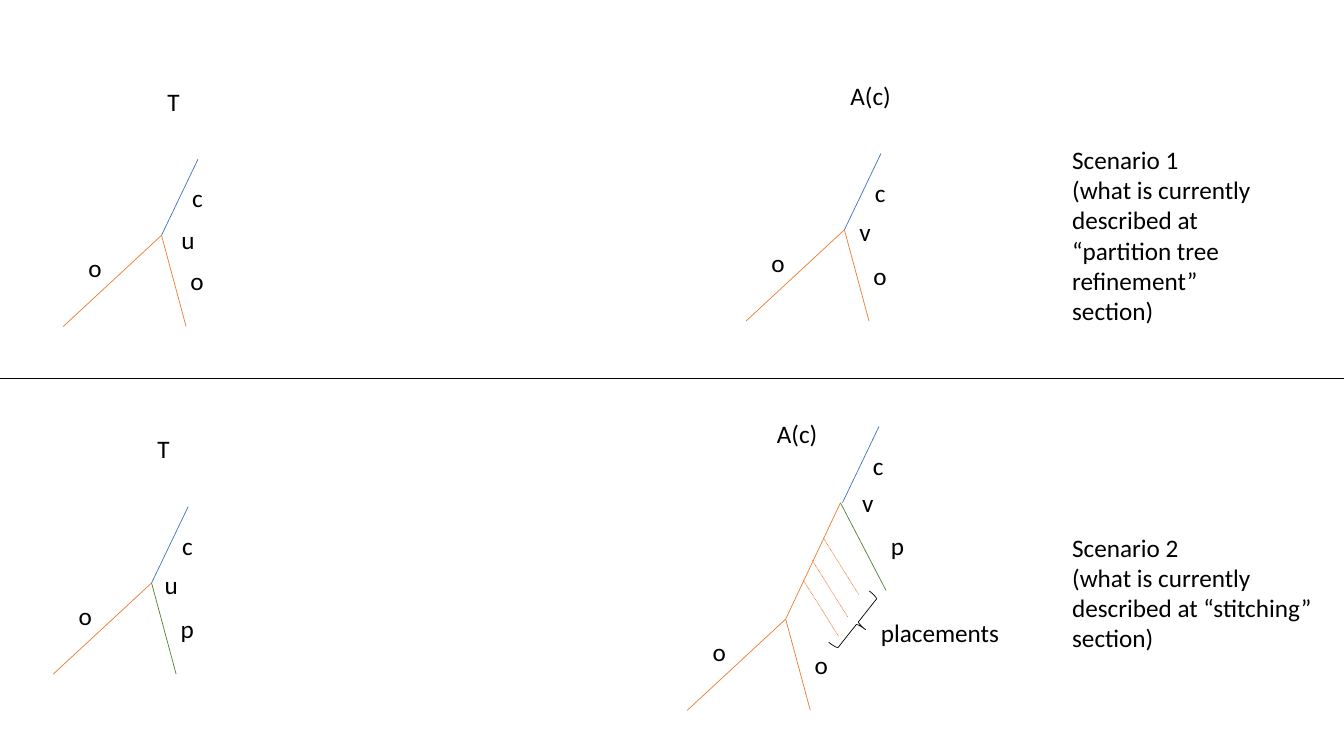
from pptx import Presentation, util as u
from pptx.dml.color import RGBColor
from pptx.enum import dml, shapes, text
from pptx.oxml.ns import qn
from lxml import etree

COLOURS = {"inner": "ED7D31", "upper": "4472C4", "placed": "548235", "ink": "000000"}
LEFT, RIGHT, UP = (-2.48, 2.3), (0.62, 2.3), (0.92, -1.92)


def shift(point, offset):
    return point[0] + offset[0], point[1] + offset[1]


def write(frame, content, size=18, font="Calibri", colour="ink"):
    for index, line in enumerate(content.split("\n")):
        paragraph = frame.paragraphs[0] if index == 0 else frame.add_paragraph()
        paragraph.text = line
        for run in paragraph.runs:
            run.font.size = u.Pt(size)
            run.font.name = font
            run.font.color.rgb = RGBColor.from_string(COLOURS[colour])


class TreeSlide:
    def __init__(self, slide, weight=0.5):
        self.slide = slide
        self.weight = weight

    def stroke(self, line, colour):
        line.color.rgb = RGBColor.from_string(COLOURS[colour])
        line.width = u.Pt(self.weight)

    def edge(self, start, end, colour, dotted=False):
        branch = self.slide.shapes.add_connector(
            shapes.MSO_CONNECTOR.STRAIGHT, *map(u.Cm, (*start, *end)))
        self.stroke(branch.line, colour)
        if dotted:
            branch.line.dash_style = dml.MSO_LINE.ROUND_DOT
        etree.SubElement(branch._element.spPr, qn("a:effectLst"))

    def label(self, content, place, width=0.86, height=1.02, wrap=False):
        box = self.slide.shapes.add_textbox(*map(u.Cm, (*place, width, height)))
        box.text_frame.word_wrap = wrap
        box.text_frame.auto_size = text.MSO_AUTO_SIZE.SHAPE_TO_FIT_TEXT
        write(box.text_frame, content)

    def brace(self, place, width, height, angle):
        bracket = self.slide.shapes.add_shape(
            shapes.MSO_SHAPE.RIGHT_BRACE, *map(u.Cm, (*place, width, height)))
        bracket.rotation = angle
        bracket.shadow.inherit = False
        bracket.fill.background()
        self.stroke(bracket.line, "ink")

    def fork(self, node, right="o"):
        self.edge(shift(node, LEFT), node, "inner")
        self.edge(shift(node, RIGHT), node, "placed" if right == "p" else "inner")
        self.label("o", shift(node, (-2.09, 0.31)))
        self.label(right, shift(node, (0.48, 0.64)))

    def stem(self, node, name, name_offset):
        self.edge(node, shift(node, UP), "upper")
        self.label("c", shift(node, (0.52, -1.45)), width=0.79)
        self.label(name, shift(node, name_offset), width=2.97, wrap=True)


def main():
    deck = Presentation()
    deck.slide_width, deck.slide_height = u.Cm(33.87), u.Cm(19.05)
    page = TreeSlide(deck.slides.add_slide(deck.slide_layouts[6]))

    simple_trees = [
        ("T", 0.81, (4.07, 5.93), "o", "u", (0.25, -0.41)),
        ("A(c)", 1.55, (21.28, 5.79), "o", "v", (0.13, -0.46)),
        ("T", 0.81, (3.82, 14.69), "p", "u", (0.08, -0.48)),
    ]
    for title, width, node, right, name, name_offset in simple_trees:
        page.fork(node, right)
        page.stem(node, name, name_offset)
        page.label(title, shift(node, (-0.1, -3.89)), width=width)

    page.edge((0, 9.53), (33.87, 9.53), "ink")

    lower, upper = (19.8, 15.6), (21.18, 12.67)
    page.fork(lower)
    page.edge(lower, upper, "inner")
    page.stem(shift(upper, (0.05, 0)), "v", (0.25, -0.51))
    page.edge((22.33, 14.88), upper, "placed")
    page.label("p", (22.2, 13.23), wrap=True)
    page.label("A(c)", (19.33, 10.41), width=1.55)
    for joint in [(20.24, 14.61), (20.47, 14.12), (20.75, 13.56)]:
        page.edge(shift(joint, (0.89, 1.42)), joint, "inner", dotted=True)
    page.brace((21.34, 14.88), 0.53, 1.65, 38.4)
    page.label("placements", (21.95, 15.44), width=10.59, wrap=True)

    page.label("Scenario 1\n(what is currently described at \v“partition tree refinement” section)",
               (26.77, 3.51), width=5, height=5.64, wrap=True)
    page.label("Scenario 2\n(what is currently described at “stitching” section)",
               (26.77, 13.28), width=7.34, height=3.33, wrap=True)

    deck.save("out.pptx")


if __name__ == "__main__":
    main()
